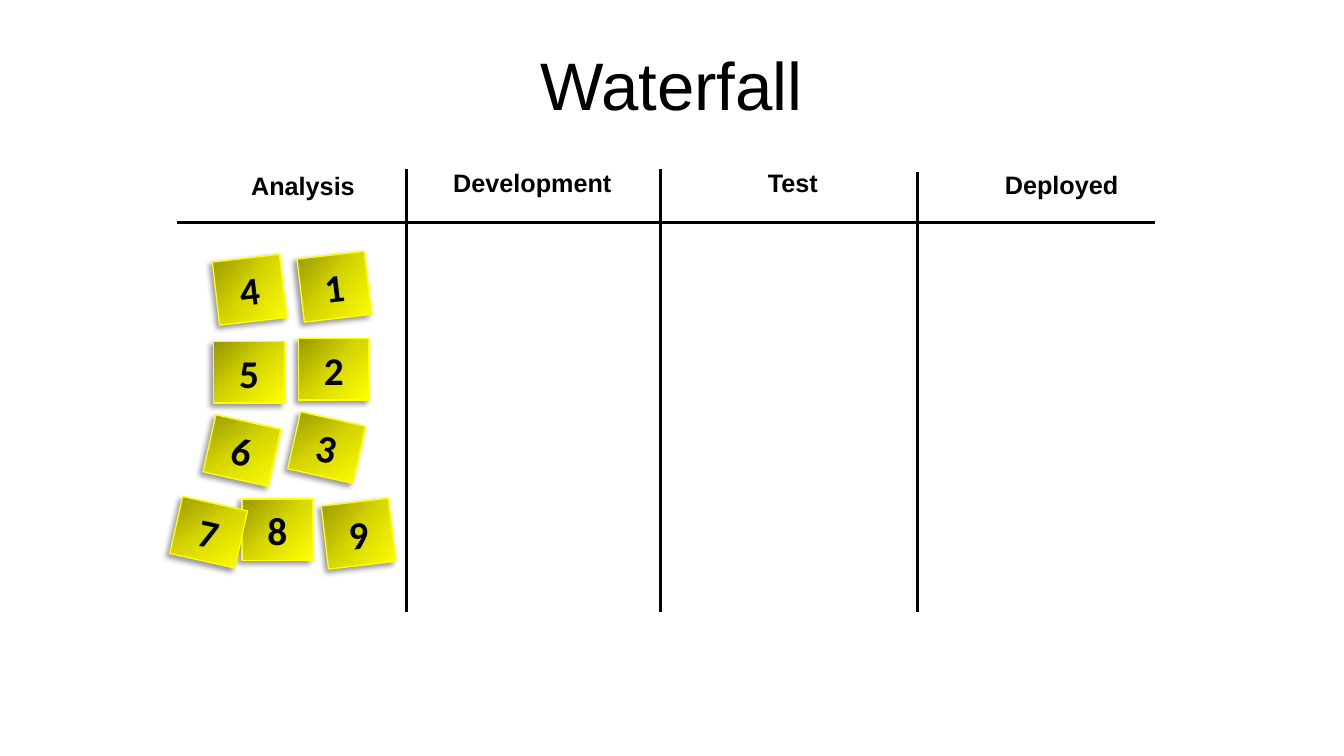
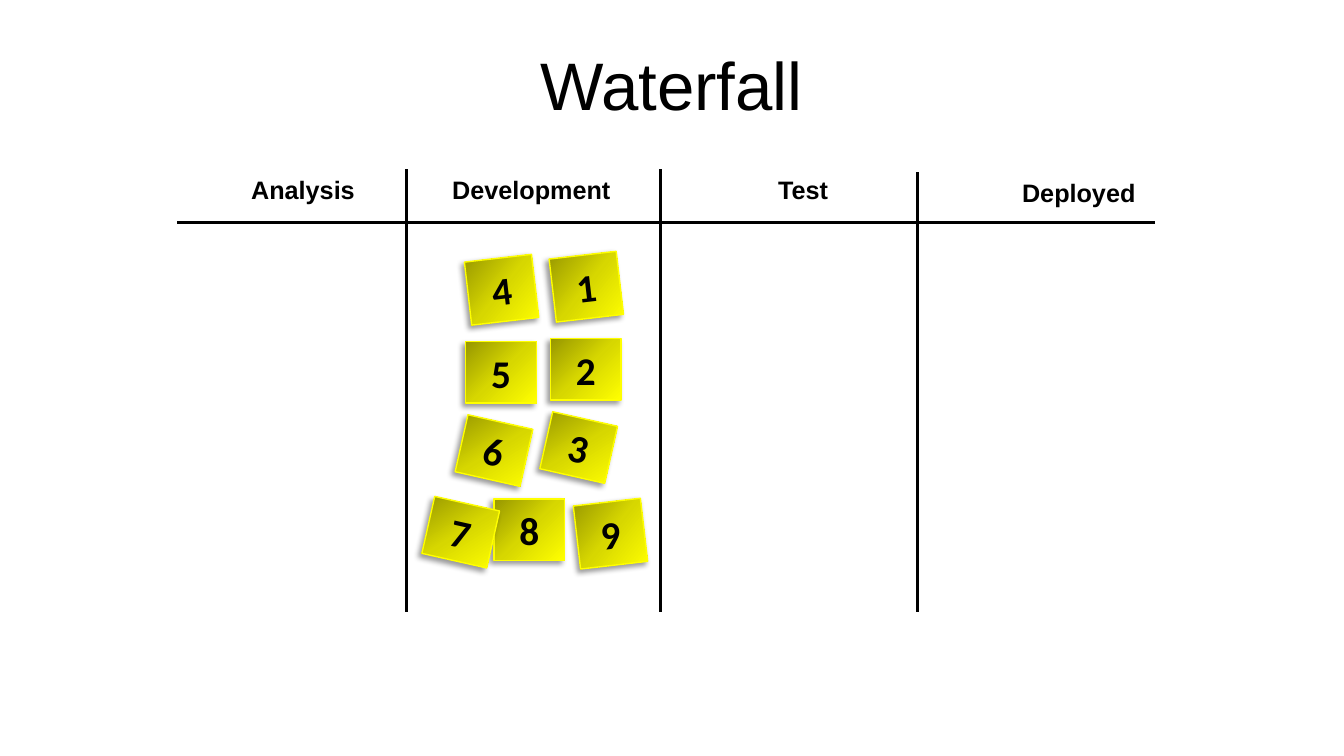
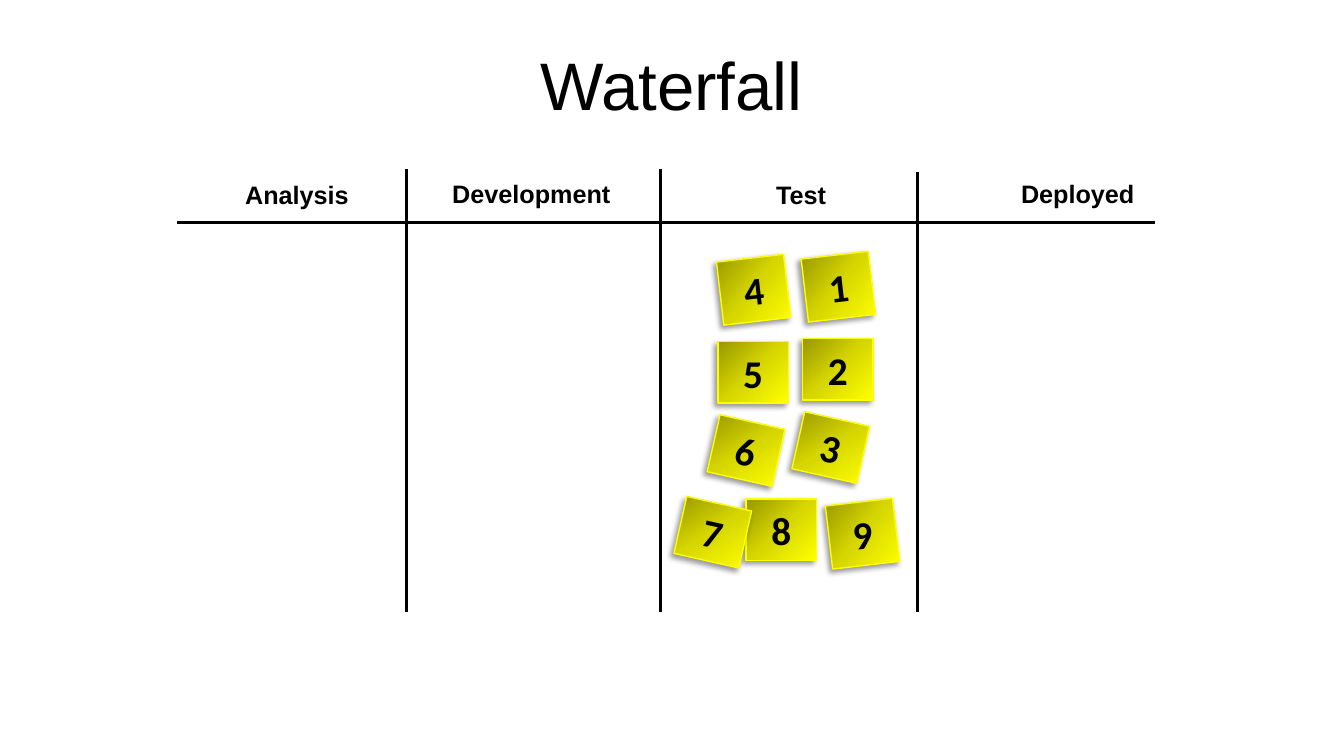
import pptx
import pptx.dml.color
import pptx.enum.shapes
import pptx.enum.text
import pptx.oxml
import pptx.oxml.ns
import pptx.util

PX = 9144  # EMU in one px, 100 px to the inch


class Theme:
    ink = "000000"
    note_stops = ((0, "979700"), (50, "D7D700"), (100, "FFFF00"))
    note_edge = "FFFF00"
    heading_font, note_font = "Arial", "Calibri"
    title_size, heading_size, note_size = 48, 18, 28
    rule_width, edge_width = 2, 1


# Content
TITLE = "Waterfall"
TITLE_BOX = (166, 38, 1000, 91)
STAGE_WIDTHS = {"Analysis": 141, "Development": 228, "Test": 117, "Deployed": 156}
HEADING_HEIGHT = 40
# Left and top of each stage heading, one row per slide
HEADING_SPOTS = [
    [(230, 164), (414, 161), (728, 161), (975, 163)],
    [(230, 168), (413, 168), (738, 168), (992, 171)],
    [(224, 173), (413, 172), (736, 173), (991, 172)],
]
BOARD_RULES = [
    (403, 168, 403, 607),
    (655, 168, 655, 607),
    (910, 171, 910, 607),
    (176, 221, 1146, 221),
]
# Width, height and rotation of the three ways a note hangs
LEANING_LEFT, STRAIGHT, LEANING_RIGHT = (67, 63, -6.6), (70, 61, 0), (66, 58, 12.7)
STORY_NOTES = [
    ("1", 298, 253, LEANING_LEFT),
    ("2", 296, 336, STRAIGHT),
    ("3", 291, 415, LEANING_RIGHT),
    ("4", 214, 256, LEANING_LEFT),
    ("5", 212, 339, STRAIGHT),
    ("6", 207, 418, LEANING_RIGHT),
    ("9", 322, 498, LEANING_LEFT),
    ("8", 240, 495, STRAIGHT),
    ("7", 174, 499, LEANING_RIGHT),
]
STAGE_STEP = 250  # the notes move this far right on each slide

NS = pptx.oxml.ns.nsdecls("a")
GRADIENT = (
    f'<a:gradFill {NS} rotWithShape="1"><a:gsLst>'
    + "".join(f'<a:gs pos="{at * 1000}"><a:srgbClr val="{colour}"/></a:gs>'
              for at, colour in Theme.note_stops)
    + '</a:gsLst><a:lin ang="2700000" scaled="0"/></a:gradFill>'
)
NOTE_SHADOW = (
    f'<a:effectLst {NS}><a:outerShdw blurRad="50800" dist="38100" dir="8100000" '
    f'algn="tr" rotWithShape="0"><a:srgbClr val="{Theme.ink}">'
    '<a:alpha val="40000"/></a:srgbClr></a:outerShdw></a:effectLst>'
)
NO_EFFECTS = f"<a:effectLst {NS}/>"


def px(*lengths):
    return [length * PX for length in lengths]


def rgb(colour):
    return pptx.dml.color.RGBColor.from_string(colour)


def write(frame, text, font, size, bold):
    frame.text = text
    frame.word_wrap = True
    paragraph = frame.paragraphs[0]
    paragraph.alignment = pptx.enum.text.PP_ALIGN.CENTER
    style = paragraph.runs[0].font
    style.name, style.size, style.bold = font, pptx.util.Pt(size), bold
    style.color.rgb = rgb(Theme.ink)


def set_line(line, colour, width):
    line.color.rgb = rgb(colour)
    line.width = pptx.util.Pt(width)


def add_title(slide):
    title = slide.shapes.title
    title.left, title.top, title.width, title.height = px(*TITLE_BOX)
    write(title.text_frame, TITLE, Theme.heading_font, Theme.title_size, False)
    title.text_frame.auto_size = pptx.enum.text.MSO_AUTO_SIZE.NONE


def add_board(slide, heading_spots):
    for ends in BOARD_RULES:
        rule = slide.shapes.add_connector(
            pptx.enum.shapes.MSO_CONNECTOR.STRAIGHT, *px(*ends))
        set_line(rule.line, Theme.ink, Theme.rule_width)
        rule._element.spPr.append(pptx.oxml.parse_xml(NO_EFFECTS))
    for (stage, width), (left, top) in zip(STAGE_WIDTHS.items(), heading_spots):
        heading = slide.shapes.add_textbox(*px(left, top, width, HEADING_HEIGHT))
        write(heading.text_frame, stage, Theme.heading_font, Theme.heading_size, True)
        heading.text_frame.auto_size = pptx.enum.text.MSO_AUTO_SIZE.SHAPE_TO_FIT_TEXT


def add_notes(slide, shift):
    stack = slide.shapes.add_group_shape()
    for number, left, top, (width, height, rotation) in STORY_NOTES:
        note = stack.shapes.add_shape(
            pptx.enum.shapes.MSO_SHAPE.RECTANGLE, *px(left + shift, top, width, height))
        note.rotation = rotation
        set_line(note.line, Theme.note_edge, Theme.edge_width)
        properties = note._element.spPr
        outline = properties.find(pptx.oxml.ns.qn("a:ln"))
        outline.addprevious(pptx.oxml.parse_xml(GRADIENT))
        properties.append(pptx.oxml.parse_xml(NOTE_SHADOW))
        write(note.text_frame, number, Theme.note_font, Theme.note_size, True)
        note.text_frame.vertical_anchor = pptx.enum.text.MSO_ANCHOR.MIDDLE


def main():
    deck = pptx.Presentation()
    deck.slide_width, deck.slide_height = px(1333, 750)
    title_only = deck.slide_layouts[5]
    for step, heading_spots in enumerate(HEADING_SPOTS):
        slide = deck.slides.add_slide(title_only)
        add_title(slide)
        add_board(slide, heading_spots)
        add_notes(slide, step * STAGE_STEP)
    deck.save("out.pptx")


if __name__ == "__main__":
    main()
